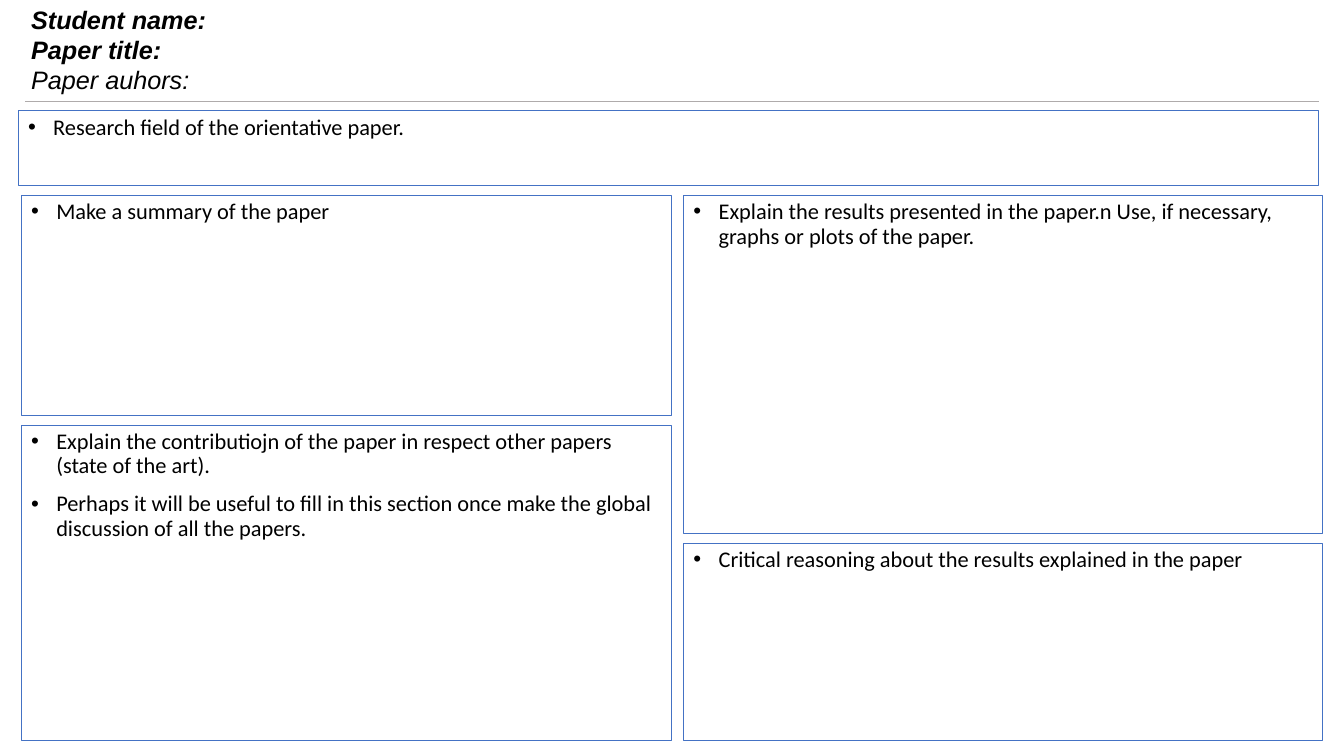
from lxml import etree
from pptx import Presentation
from pptx.dml.color import RGBColor
from pptx.enum.shapes import MSO_CONNECTOR as Link, MSO_SHAPE as Shape
from pptx.enum.text import MSO_ANCHOR as Anchor, PP_ALIGN as Align
from pptx.oxml.ns import qn
from pptx.util import Inches, Pt

BLACK = RGBColor(0x00, 0x00, 0x00)
BLUE = RGBColor(0x44, 0x72, 0xC4)
GRAY = RGBColor(0xAF, 0xAB, 0xAB)

HEAD = {"name": "Arial", "size": Pt(18), "italic": True}
BODY = {"name": "Calibri", "size": Pt(16)}
GAP = 0.1


def style(font, form):
    for key, value in form.items():
        setattr(font, key, value)
    font.color.rgb = BLACK


def bullet(para):
    props = para._p.get_or_add_pPr()
    props.set("marL", str(Inches(0.25)))
    props.set("indent", str(-Inches(0.25)))
    etree.SubElement(props, qn("a:buFont")).set("typeface", "Arial")
    etree.SubElement(props, qn("a:buChar")).set("char", "•")


def header(slide, left, top, width, height):
    box = slide.shapes.add_textbox(*map(Inches, (left, top, width, height)))
    frame = box.text_frame
    frame.word_wrap = True
    labels = [("Student name:", True), ("Paper title:", True),
              ("Paper auhors:", False)]
    for i, (text, bold) in enumerate(labels):
        para = frame.add_paragraph() if i else frame.paragraphs[0]
        run = para.add_run()
        run.text = text
        style(run.font, HEAD | {"bold": bold})

    # Rule under the header
    base = Inches(top + height)
    rule = slide.shapes.add_connector(
        Link.STRAIGHT, Inches(0.25), base, Inches(13.08), base)
    rule.line.color.rgb = GRAY
    rule.line.width = Pt(0.25)
    etree.SubElement(rule._element.spPr, qn("a:effectLst"))


def panel(slide, left, top, width, height, points):
    box = slide.shapes.add_shape(
        Shape.RECTANGLE, *map(Inches, (left, top, width, height)))
    box.shadow.inherit = False
    box.fill.background()
    box.line.color.rgb = BLUE
    box.line.width = Pt(0.75)
    frame = box.text_frame
    frame.word_wrap = True
    frame.vertical_anchor = Anchor.TOP
    for i, text in enumerate(points):
        para = frame.add_paragraph() if i else frame.paragraphs[0]
        bullet(para)
        para.alignment = Align.LEFT
        para.line_spacing = 0.9
        if i:
            para.space_before = Pt(10)
        run = para.add_run()
        run.text = text
        style(run.font, BODY)


def column(slide, left, top, width, parts):
    for height, points in parts:
        panel(slide, left, top, width, height, points)
        top += height + GAP


def main():
    deck = Presentation()
    deck.slide_width, deck.slide_height = Inches(13.33), Inches(7.5)
    slide = deck.slides.add_slide(deck.slide_layouts[6])

    header(slide, 0.21, -0.01, 12.59, 1.01)

    # Research field across the full width
    panel(slide, 0.18, 1.1, 12.9, 0.74,
          ["Research field of the orientative paper."])

    # Summary and contribution
    column(slide, 0.21, 1.94, 6.45, [
        (2.18, ["Make a summary of the paper"]),
        (3.13, ["Explain the contributiojn of the paper in respect other "
                "papers (state of the art).",
                "Perhaps it will be useful to fill in this section once make "
                "the global discussion of all the papers."]),
    ])

    # Results and critique
    column(slide, 6.78, 1.94, 6.34, [
        (3.35, ["Explain the results presented in the paper.n Use, if "
                "necessary, graphs or plots of the paper."]),
        (1.96, ["Critical reasoning about the results explained in the "
                "paper"]),
    ])

    deck.save("out.pptx")


if __name__ == "__main__":
    main()
